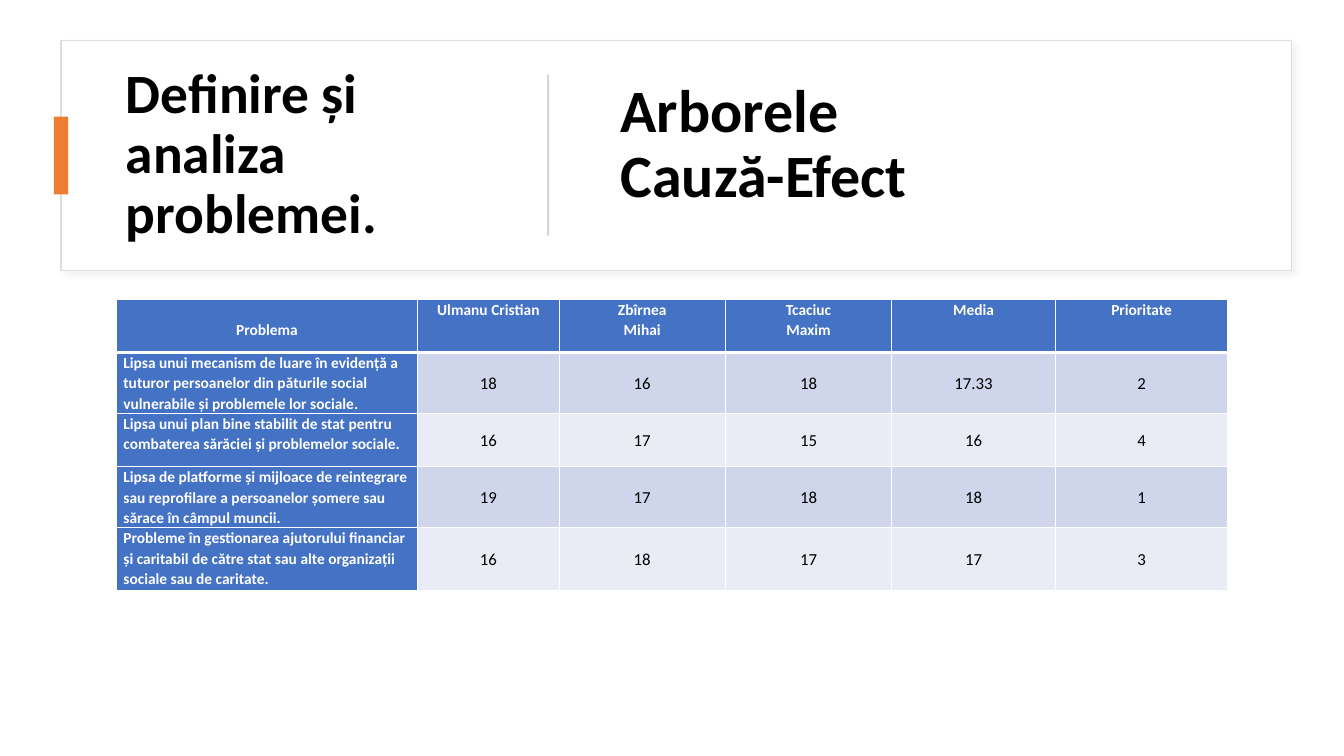
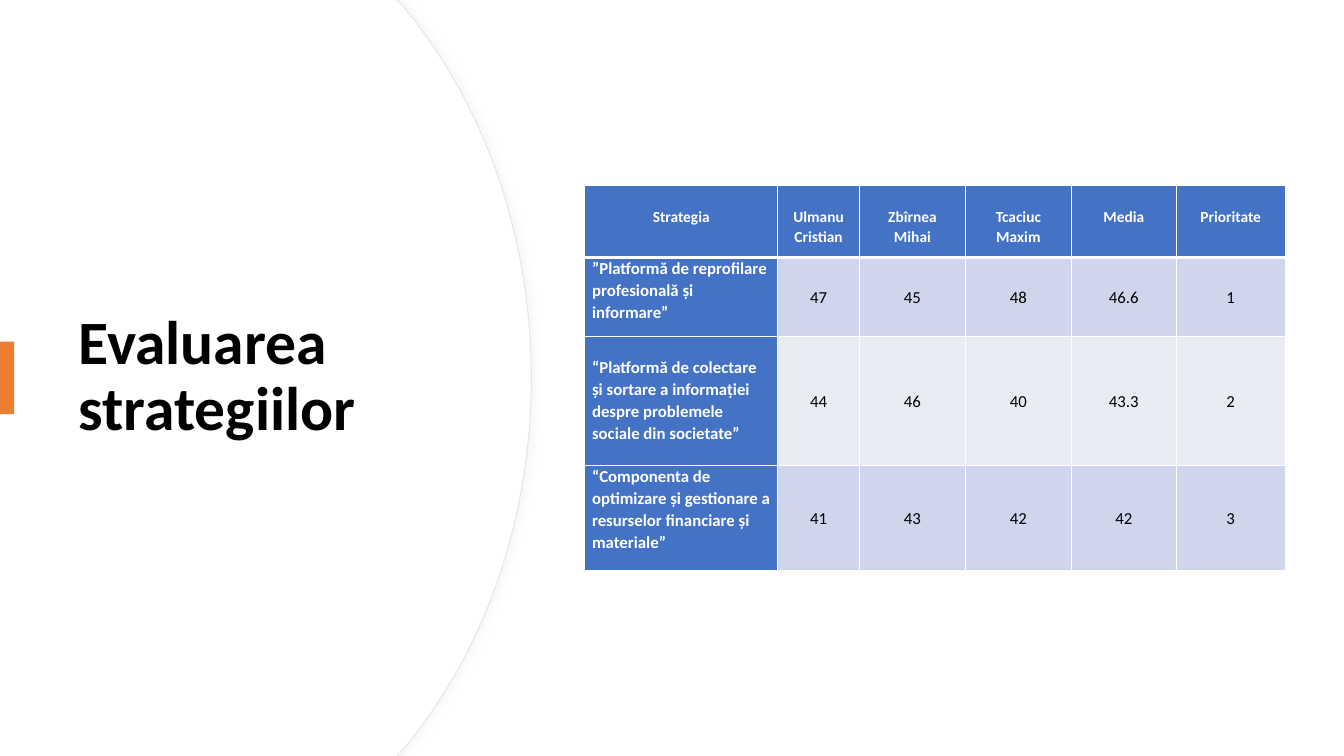
"""Build two slides that rank social problems and the strategies against them."""

import dataclasses
import typing

import lxml.etree
import pptx
import pptx.dml.color
import pptx.enum.shapes
import pptx.enum.text
import pptx.oxml.ns
import pptx.presentation
import pptx.shapes.autoshape
import pptx.slide
import pptx.table
import pptx.text.text
import pptx.util

Cm = pptx.util.Cm
Pt = pptx.util.Pt
RGBColor = pptx.dml.color.RGBColor
Anchor = pptx.enum.text.MSO_ANCHOR
Align = pptx.enum.text.PP_ALIGN

WHITE = RGBColor(0xFF, 0xFF, 0xFF)
BLACK = RGBColor(0x00, 0x00, 0x00)
BLUE = RGBColor(0x44, 0x72, 0xC4)
ORANGE = RGBColor(0xED, 0x7D, 0x31)
DARK_BAND = RGBColor(0xCF, 0xD5, 0xEA)
LIGHT_BAND = RGBColor(0xE9, 0xEB, 0xF5)
PANEL_LINE = RGBColor(0xDE, 0xDE, 0xDE)
PANEL_SHADOW = RGBColor(0xC5, 0xC3, 0xC3)
DIVIDER = RGBColor(0xD5, 0xD5, 0xD5)
ARC_LINE = RGBColor(0xE6, 0xE6, 0xE6)
ARC_SHADOW = RGBColor(0xD9, 0xD9, 0xD9)

FONT = "Calibri"
SLIDE_WIDTH = 33.87
SLIDE_HEIGHT = 19.05
CELL_INSET = 0.18
LINE_DROP = 0.51
HEADER_SIZE = 11
VALUE_SIZE = 12


class Box(typing.NamedTuple):
    """Left, top, width and height in centimetres."""

    left: float
    top: float
    width: float
    height: float

    def lengths(self) -> list[pptx.util.Length]:
        """Return the four lengths for python-pptx."""
        return [Cm(value) for value in self]


@dataclasses.dataclass(frozen=True)
class Outline:
    """Line and soft shadow around a white surface."""

    color: RGBColor
    width: float
    shadow: RGBColor
    shadow_angle: int


@dataclasses.dataclass(frozen=True)
class Label:
    """Lines of a heading cell, lowered by a distance in centimetres."""

    lines: tuple[str, ...]
    drop: float = 0


@dataclasses.dataclass(frozen=True)
class Row:
    """A labelled row of scores."""

    label: Label
    values: tuple[str, ...]


@dataclasses.dataclass(frozen=True)
class ScoreTable:
    """Content and grid of a score table."""

    left: float
    top: float
    columns: tuple[float, ...]
    heights: tuple[float, ...]
    label_size: int
    header: tuple[Label, ...]
    rows: tuple[Row, ...]


PROBLEMS = ScoreTable(
    2.93, 7.54,
    (7.6, 3.56, 4.19, 4.19, 4.13, 4.34),
    (1.34, 1.34, 1.34, 1.34, 1.58),
    11,
    (
        Label(("Problema",), LINE_DROP),
        Label(("Ulmanu Cristian",)),
        Label(("Zbîrnea", "Mihai")),
        Label(("Tcaciuc", "Maxim")),
        Label(("Media",)),
        Label(("Prioritate",)),
    ),
    (
        Row(Label(("Lipsa unui mecanism de luare în evidență a tuturor persoanelor din păturile "
                   "social vulnerabile și problemele lor sociale.",)),
            ("18", "16", "18", "17.33", "2")),
        Row(Label(("Lipsa unui plan bine stabilit de stat pentru combaterea sărăciei și "
                   "problemelor sociale.",)),
            ("16", "17", "15", "16", "4")),
        Row(Label(("Lipsa de platforme și mijloace de reintegrare sau reprofilare a persoanelor "
                   "șomere sau sărace în câmpul muncii.",)),
            ("19", "17", "18", "18", "1")),
        Row(Label(("Probleme în gestionarea ajutorului financiar și caritabil de către stat sau "
                   "alte organizații sociale sau de caritate.",)),
            ("16", "18", "17", "17", "3")),
    ),
)

STRATEGIES = ScoreTable(
    14.74, 4.68,
    (4.86, 2.06, 2.67, 2.67, 2.64, 2.75),
    (1.81, 1.98, 3.26, 2.65),
    12,
    tuple(
        Label(lines, LINE_DROP)
        for lines in (("Strategia",), ("Ulmanu Cristian",), ("Zbîrnea", "Mihai"),
                      ("Tcaciuc", "Maxim"), ("Media",), ("Prioritate",))
    ),
    (
        Row(Label(("”Platformă de reprofilare profesională și informare”",)),
            ("47", "45", "48", "46.6", "1")),
        Row(Label(("“Platformă de colectare și sortare a informației despre problemele sociale "
                   "din societate”",), LINE_DROP),
            ("44", "46", "40", "43.3", "2")),
        Row(Label(("“Componenta de optimizare și gestionare a resurselor financiare și "
                   "materiale”",)),
            ("41", "43", "42", "42", "3")),
    ),
)


def add_run(paragraph: pptx.text.text._Paragraph, text: str, size: float,
            color: RGBColor, bold: bool) -> None:
    """Add one formatted run to a paragraph."""
    run = paragraph.add_run()
    run.text = text
    run.font.name = FONT
    run.font.size = Pt(size)
    run.font.bold = bold
    run.font.color.rgb = color


def add_element(parent: lxml.etree._Element, tag: str, **attributes: str) -> lxml.etree._Element:
    """Append a drawing element with its attributes."""
    return lxml.etree.SubElement(parent, pptx.oxml.ns.qn(tag), attributes)


def add_shadow(shape: pptx.shapes.autoshape.Shape, color: RGBColor, angle: int) -> None:
    """Give a shape a soft, faint shadow."""
    effects = shape._element.spPr.find(pptx.oxml.ns.qn("a:effectLst"))
    shadow = add_element(effects, "a:outerShdw", blurRad=str(Pt(4)), dist=str(Pt(3)),
                         dir=str(angle * 60000), algn="tl", rotWithShape="0")
    shadow_color = add_element(shadow, "a:srgbClr", val=str(color))
    add_element(shadow_color, "a:alpha", val="20000")


def style_shape(shape: pptx.shapes.autoshape.Shape, fill: RGBColor,
                outline: Outline | None = None) -> None:
    """Set the fill and the optional outline of a shape."""
    shape.shadow.inherit = False
    shape.fill.solid()
    shape.fill.fore_color.rgb = fill
    if outline is None:
        shape.line.fill.background()
        return
    shape.line.color.rgb = outline.color
    shape.line.width = Pt(outline.width)
    add_shadow(shape, outline.shadow, outline.shadow_angle)


def draw_rectangle(slide: pptx.slide.Slide, box: Box, fill: RGBColor,
                   outline: Outline | None = None) -> None:
    """Draw a plain rectangle."""
    shape = slide.shapes.add_shape(pptx.enum.shapes.MSO_SHAPE.RECTANGLE, *box.lengths())
    style_shape(shape, fill, outline)


def bend_segments(shape: pptx.shapes.autoshape.Shape, first: int, count: int) -> None:
    """Turn each three straight segments from the first on into one cubic curve."""
    segments = list(shape._element.iter(pptx.oxml.ns.qn("a:lnTo")))
    for start in range(first, first + 3 * count, 3):
        group = segments[start:start + 3]
        curve = lxml.etree.Element(pptx.oxml.ns.qn("a:cubicBezTo"))
        group[0].addprevious(curve)
        for segment in group:
            curve.append(segment[0])
            segment.getparent().remove(segment)


def draw_arc_panel(slide: pptx.slide.Slide, inset: float, outline: Outline | None = None) -> None:
    """Draw a panel on the left edge whose right side bulges out."""
    upper = ((10.01, 0), (10.19, 0.2), (12.17, 2.59), (13.39, 5.89))
    tip = (13.39, SLIDE_HEIGHT / 2)
    lower = tuple((x, SLIDE_HEIGHT - y) for x, y in reversed(upper))
    edge = [(Cm(x - inset), Cm(y)) for x, y in (*upper, tip, *lower)]
    builder = slide.shapes.build_freeform(0, 0)
    builder.add_line_segments(edge + [(0, Cm(SLIDE_HEIGHT))], close=True)
    panel = builder.convert_to_shape()
    bend_segments(panel, 2, 2)
    style_shape(panel, WHITE, outline)


def write_heading(shape: pptx.shapes.autoshape.Shape, text: str, size: float) -> None:
    """Write a bold heading into a shape."""
    frame = shape.text_frame
    frame.word_wrap = True
    frame.auto_size = pptx.enum.text.MSO_AUTO_SIZE.NONE
    frame.vertical_anchor = Anchor.MIDDLE
    paragraph = frame.paragraphs[0]
    paragraph.alignment = Align.LEFT
    paragraph.line_spacing = 0.9
    add_run(paragraph, text, size, BLACK, True)


def place_title(slide: pptx.slide.Slide, box: Box, text: str, size: float) -> None:
    """Bring the title placeholder to the front, move it and fill it."""
    title = slide.shapes.title
    slide.shapes._spTree.append(title._element)
    title.left, title.top, title.width, title.height = box.lengths()
    write_heading(title, text, size)


def fill_cell(cell: pptx.table._Cell, label: Label, size: int, fill: RGBColor, color: RGBColor,
              alignment: Align, anchor: Anchor, bottom_line: int = 1) -> None:
    """Write the text, borders and fill of a table cell."""
    cell.margin_left = cell.margin_right = Cm(CELL_INSET)
    cell.margin_top, cell.margin_bottom = Cm(label.drop), 0
    cell.vertical_anchor = anchor
    for index, text in enumerate(label.lines):
        frame = cell.text_frame
        paragraph = frame.add_paragraph() if index else frame.paragraphs[0]
        paragraph.alignment = alignment
        paragraph.line_spacing = 1.07
        add_run(paragraph, text, size, color, color == WHITE)
    properties = cell._tc.get_or_add_tcPr()
    for tag, width in (("a:lnL", 1), ("a:lnR", 1), ("a:lnT", 1), ("a:lnB", bottom_line)):
        border = add_element(properties, tag, w=str(Pt(width)))
        add_element(add_element(border, "a:solidFill"), "a:srgbClr", val=str(WHITE))
    cell.fill.solid()
    cell.fill.fore_color.rgb = fill


def draw_table(slide: pptx.slide.Slide, scores: ScoreTable) -> None:
    """Draw a score table with a header row and a label column."""
    box = Box(scores.left, scores.top, sum(scores.columns), sum(scores.heights))
    table = slide.shapes.add_table(len(scores.heights), len(scores.columns), *box.lengths()).table
    for column, width in zip(table.columns, scores.columns):
        column.width = Cm(width)
    for table_row, height in zip(table.rows, scores.heights):
        table_row.height = Cm(height)
    for index, label in enumerate(scores.header):
        fill_cell(table.cell(0, index), label, HEADER_SIZE, BLUE, WHITE,
                  Align.CENTER, Anchor.TOP, 3)
    for number, row in enumerate(scores.rows, 1):
        fill_cell(table.cell(number, 0), row.label, scores.label_size, BLUE, WHITE,
                  Align.LEFT, Anchor.TOP)
        band = DARK_BAND if number % 2 else LIGHT_BAND
        for index, value in enumerate(row.values, 1):
            fill_cell(table.cell(number, index), Label((value,)), VALUE_SIZE, band, BLACK,
                      Align.CENTER, Anchor.MIDDLE)


def build_problem_slide(slide: pptx.slide.Slide) -> None:
    """Build the slide that ranks the problems."""
    draw_rectangle(slide, Box(1.54, 1.02, 31.01, 5.8), WHITE,
                   Outline(PANEL_LINE, 1, PANEL_SHADOW, 45))
    place_title(slide, Box(2.92, 1.63, 10.16, 4.57), "Definire și analiza problemei.", 39.6)
    draw_rectangle(slide, Box(1.36, 2.94, 0.36, 1.96), ORANGE)
    draw_rectangle(slide, Box(13.79, 1.88, 0.05, 4.06), DIVIDER)
    draw_table(slide, PROBLEMS)
    heading = slide.shapes.add_textbox(*Box(15.39, 1.38, 10.16, 4.57).lengths())
    write_heading(heading, "Arborele Cauză-Efect", 42.9)


def build_strategy_slide(slide: pptx.slide.Slide) -> None:
    """Build the slide that ranks the strategies."""
    draw_arc_panel(slide, 0, Outline(ARC_LINE, 0.75, ARC_SHADOW, 0))
    draw_arc_panel(slide, 0.03)
    place_title(slide, Box(1.73, 3.23, 10.01, 12.57), "Evaluarea strategiilor", 44)
    draw_rectangle(slide, Box(0, 8.61, 0.36, 1.83), ORANGE)
    draw_table(slide, STRATEGIES)


def main() -> None:
    """Create and save the presentation."""
    presentation = pptx.Presentation()
    presentation.slide_width = Cm(SLIDE_WIDTH)
    presentation.slide_height = Cm(SLIDE_HEIGHT)
    for build in (build_problem_slide, build_strategy_slide):
        build(presentation.slides.add_slide(presentation.slide_layouts.get_by_name("Title Only")))
    presentation.save("out.pptx")


if __name__ == "__main__":
    main()
